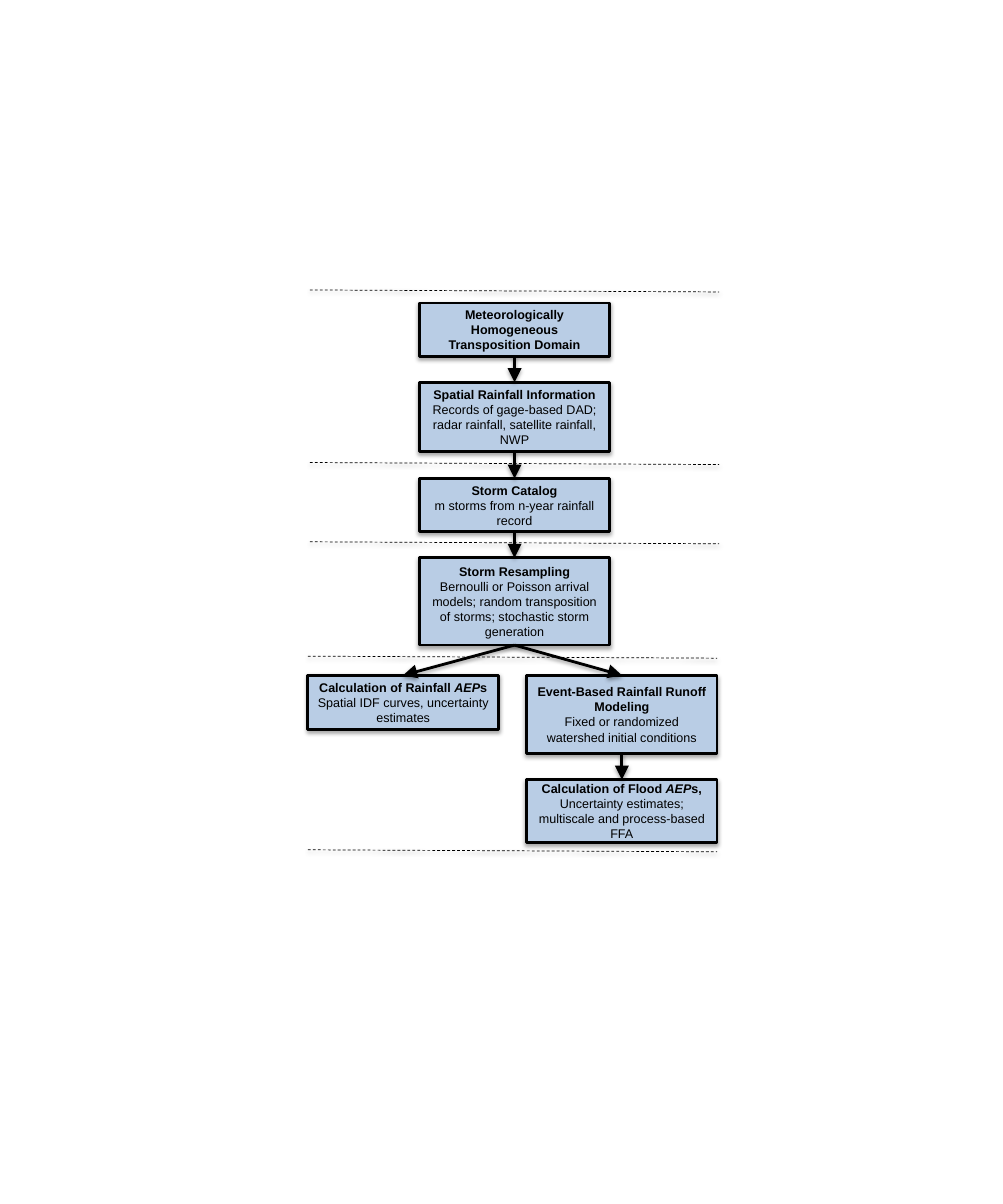
from dataclasses import dataclass

from lxml.etree import SubElement
from pptx import Presentation
from pptx.dml.color import RGBColor
from pptx.enum.dml import MSO_LINE
from pptx.enum.shapes import MSO_CONNECTOR, MSO_SHAPE
from pptx.enum.text import MSO_ANCHOR, PP_ALIGN
from pptx.oxml.ns import qn
from pptx.shapes.autoshape import Shape
from pptx.shapes.connector import Connector
from pptx.shapes.shapetree import SlideShapes
from pptx.util import Emu, Pt

PX = 9144
BLACK = RGBColor(0x00, 0x00, 0x00)
PALE_BLUE = RGBColor(0xB9, 0xCD, 0xE5)
STEP_WIDTH = 190
DIVIDER_WIDTH = 408
DIVIDER_DROP = 2
BOTTOM, TOP = 2, 0


@dataclass(frozen=True)
class Run:
    text: str
    bold: bool = False
    italic: bool = False


@dataclass(frozen=True)
class Step:
    key: str
    left: int
    top: int
    height: int
    paragraphs: tuple[tuple[Run, ...], ...]


@dataclass(frozen=True)
class Divider:
    left: int
    top: int


def heading(text: str) -> tuple[Run, ...]:
    return (Run(text, bold=True),)


def detail(text: str) -> tuple[Run, ...]:
    return (Run(text),)


def aep_heading(lead: str, ending: str) -> tuple[Run, ...]:
    return (Run(lead, bold=True), Run("AEP", bold=True, italic=True), Run(ending, bold=True))


STEPS = (
    Step("domain", 418, 302, 53, (
        heading("Meteorologically Homogeneous Transposition Domain"),)),
    Step("rainfall", 418, 381, 69, (
        heading("Spatial Rainfall Information"),
        detail("Records of gage-based DAD; radar rainfall, satellite rainfall, NWP"))),
    Step("catalog", 418, 477, 53, (
        heading("Storm Catalog"),
        detail("m storms from n-year rainfall record"))),
    Step("resampling", 418, 556, 87, (
        heading("Storm Resampling"),
        detail("Bernoulli or Poisson arrival models; random transposition of storms; "
               "stochastic storm generation"))),
    Step("rainfall_aep", 307, 673, 54, (
        aep_heading("Calculation of Rainfall ", "s"),
        detail("Spatial IDF curves, uncertainty estimates"))),
    Step("runoff", 525, 673, 78, (
        heading("Event-Based Rainfall Runoff Modeling"),
        detail("Fixed or randomized watershed initial conditions"))),
    Step("flood_aep", 525, 777, 63, (
        aep_heading("Calculation of Flood ", "s, ")
        + detail("Uncertainty estimates; multiscale and process-based FFA"),)),
)

FLOWS = (
    ("domain", "rainfall"),
    ("rainfall", "catalog"),
    ("catalog", "resampling"),
    ("resampling", "rainfall_aep"),
    ("resampling", "runoff"),
    ("runoff", "flood_aep"),
)

DIVIDERS = (
    Divider(309, 289),
    Divider(309, 461),
    Divider(309, 540),
    Divider(307, 654),
    Divider(307, 847),
)


def px(length: int) -> Emu:
    return Emu(length * PX)


def cast_shadow(item: Shape | Connector, distance: float, opacity: int) -> None:
    effects = SubElement(item.element.spPr, qn("a:effectLst"))
    shadow = SubElement(effects, qn("a:outerShdw"), blurRad=str(Pt(3.1)), dist=str(Pt(distance)),
                        dir="5400000", rotWithShape="0")
    color = SubElement(shadow, qn("a:srgbClr"), val=str(BLACK))
    SubElement(color, qn("a:alpha"), val=str(opacity * 1000))


def draw_step(shapes: SlideShapes, step: Step) -> Shape:
    box = shapes.add_shape(MSO_SHAPE.RECTANGLE, px(step.left), px(step.top),
                           px(STEP_WIDTH), px(step.height))
    box.fill.solid()
    box.fill.fore_color.rgb = PALE_BLUE
    box.line.color.rgb = BLACK
    box.line.width = Pt(2)
    cast_shadow(box, 1.8, 35)
    frame = box.text_frame
    frame.word_wrap = True
    frame.vertical_anchor = MSO_ANCHOR.MIDDLE
    for index, runs in enumerate(step.paragraphs):
        paragraph = frame.add_paragraph() if index else frame.paragraphs[0]
        paragraph.alignment = PP_ALIGN.CENTER
        for part in runs:
            run = paragraph.add_run()
            run.text = part.text
            run.font.color.rgb = BLACK
            font_format = {"name": "Arial", "size": Pt(9),
                           "bold": part.bold, "italic": part.italic}
            for attribute, value in font_format.items():
                setattr(run.font, attribute, value)
    return box


def draw_line(shapes: SlideShapes, start: tuple[int, int], end: tuple[int, int],
              weight: float) -> Connector:
    line = shapes.add_connector(MSO_CONNECTOR.STRAIGHT, *map(px, start + end))
    line.line.color.rgb = BLACK
    line.line.width = Pt(weight)
    cast_shadow(line, 1.6, 38)
    return line


def draw_flow(shapes: SlideShapes, source: Shape, target: Shape) -> None:
    arrow = draw_line(shapes, (0, 0), (0, 0), 2)
    arrow.begin_connect(source, BOTTOM)
    arrow.end_connect(target, TOP)
    SubElement(arrow.element.spPr.find(qn("a:ln")), qn("a:tailEnd"),
               type="triangle", w="lg", len="lg")


def draw_divider(shapes: SlideShapes, divider: Divider) -> None:
    end = (divider.left + DIVIDER_WIDTH, divider.top + DIVIDER_DROP)
    rule = draw_line(shapes, (divider.left, divider.top), end, 0.5)
    rule.line.dash_style = MSO_LINE.DASH


def main() -> None:
    deck = Presentation()
    deck.slide_width = px(1000)
    deck.slide_height = px(1200)
    shapes = deck.slides.add_slide(deck.slide_layouts[6]).shapes
    boxes = {step.key: draw_step(shapes, step) for step in STEPS}
    for source, target in FLOWS:
        draw_flow(shapes, boxes[source], boxes[target])
    for divider in DIVIDERS:
        draw_divider(shapes, divider)
    deck.save("out.pptx")


if __name__ == "__main__":
    main()
